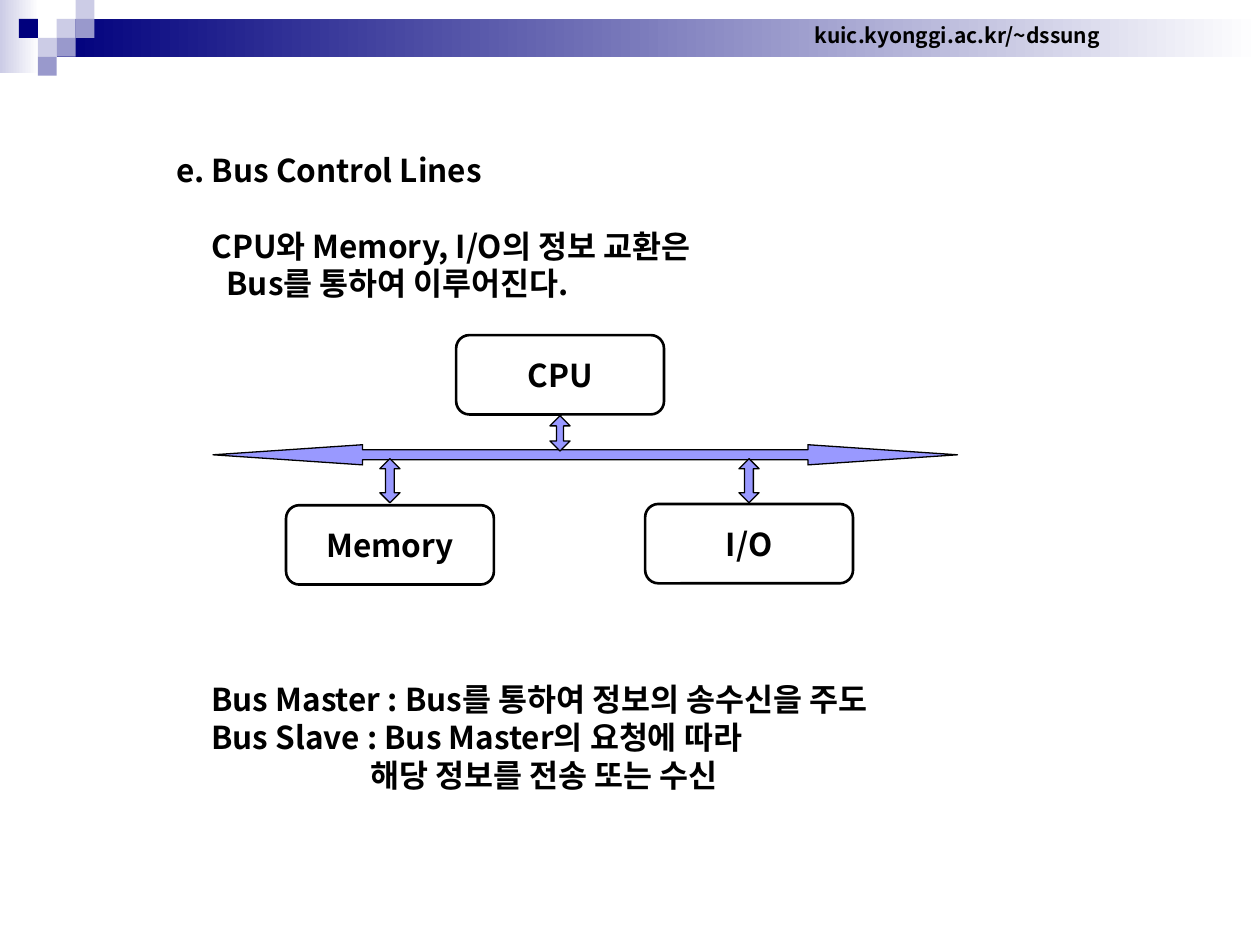
from dataclasses import dataclass

from lxml.etree import SubElement
from pptx import Presentation
from pptx.dml.color import RGBColor
from pptx.enum.shapes import MSO_SHAPE
from pptx.enum.text import MSO_ANCHOR, PP_ALIGN
from pptx.oxml.ns import qn
from pptx.util import Inches, Pt


@dataclass(frozen=True)
class Theme:
    """Colours, font and sizes of the deck."""
    navy: str = "00007D"
    mid: str = "9999CC"
    pale: str = "CCCCE6"
    bus: str = "9999FF"
    ink: str = "000000"
    paper: str = "FFFFFF"
    font: str = "Noto Sans CJK KR"
    body: int = 18
    small: int = 12
    leading: float = 21.6


T = Theme()


def add_text(tf, text, size=T.body, first=False, align=PP_ALIGN.LEFT,
             indent=0, before=0, leading=None):
    """Write one bold paragraph into a text frame."""
    p = tf.paragraphs[0] if first else tf.add_paragraph()
    p.alignment = align
    p.space_before = Pt(before)
    if leading:
        p.line_spacing = Pt(leading)
    if indent:
        pPr = p._p.get_or_add_pPr()
        pPr.set("marL", str(Inches(indent)))
        pPr.set("indent", "0")
    r = p.add_run()
    r.text = text
    r.font.size = Pt(size)
    r.font.bold = True
    r.font.name = T.font
    r.font.color.rgb = RGBColor.from_string(T.ink)
    SubElement(r._r.get_or_add_rPr(), qn("a:ea")).set("typeface", T.font)


def add_box(s, kind, box, fill, line=None, adj=()):
    """Add a preset shape; a pair of colours gives a left-to-right gradient."""
    sp = s.shapes.add_shape(kind, *map(Inches, box))
    sp.shadow.inherit = False
    if isinstance(fill, tuple):
        sp.fill.gradient()
        sp.fill.gradient_angle = 0
        for stop, colour in zip(sp.fill.gradient_stops, fill):
            stop.color.rgb = RGBColor.from_string(colour)
    else:
        sp.fill.solid()
        sp.fill.fore_color.rgb = RGBColor.from_string(fill)
    if line:
        sp.line.color.rgb = RGBColor.from_string(T.ink)
        sp.line.width = Pt(line)
    else:
        sp.line.fill.background()
    for i, value in enumerate(adj):
        sp.adjustments[i] = value
    return sp


def add_header(s, x, y, w):
    """Draw the gradient band, its mosaic of squares and the web address."""
    unit = 0.15
    add_box(s, MSO_SHAPE.RECTANGLE, (x, y, 0.31, 0.58), (T.pale, T.paper))
    add_box(s, MSO_SHAPE.RECTANGLE, (x + 3 * unit, y + unit, w - 3 * unit, 2 * unit),
            (T.navy, T.paper))
    squares = [(3, 1, T.pale), (4, 0, T.pale), (4, 1, T.mid), (2, 2, T.pale),
               (1, 1, T.navy), (3, 2, T.mid), (2, 3, T.mid)]
    for col, row, colour in squares:
        add_box(s, MSO_SHAPE.RECTANGLE,
                (x + col * unit, y + row * unit, unit, unit), colour)
    tb = s.shapes.add_textbox(*map(Inches, (x + 6.37, y + 0.13, 2.47, 0.3)))
    tb.text_frame.vertical_anchor = MSO_ANCHOR.MIDDLE
    tb.text_frame.word_wrap = False
    add_text(tb.text_frame, "kuic.kyonggi.ac.kr/~dssung", size=T.small, first=True)


def add_notes(s, box, lines):
    """Place a block of lines given as (text, indent, space before)."""
    tf = s.shapes.add_textbox(*map(Inches, box)).text_frame
    tf.word_wrap = True
    for i, (text, indent, before) in enumerate(lines):
        add_text(tf, text, first=i == 0, indent=indent, before=before,
                 leading=T.leading)


def add_bus_diagram(s, x, y):
    """Draw the three units and the bus that joins them."""
    w, h, arrow = 1.65, 0.63, 0.16
    units = [("CPU", 1.93, 0, 0.64, 0.28), ("Memory", 0.58, 1.35, 0.98, 0.35),
             ("I/O", 3.43, 1.34, 0.98, 0.35)]
    for name, dx, dy, _, _ in units:
        sp = add_box(s, MSO_SHAPE.ROUNDED_RECTANGLE, (x + dx, y + dy, w, h),
                     T.paper, 1.5, [0.167])
        sp.text_frame.vertical_anchor = MSO_ANCHOR.MIDDLE
        sp.text_frame.word_wrap = False
        add_text(sp.text_frame, name, first=True, align=PP_ALIGN.CENTER)
    add_box(s, MSO_SHAPE.LEFT_RIGHT_ARROW, (x, y + 0.87, 5.91, arrow),
            T.bus, 0.75, [0.5, 7.43])
    for _, dx, _, top, length in units:
        add_box(s, MSO_SHAPE.UP_DOWN_ARROW,
                (x + dx + (w - arrow) / 2, y + top, arrow, length),
                T.bus, 0.75, [0.5, 0.2 * length / arrow])


def main():
    """Build the slide and save it."""
    prs = Presentation()
    prs.slide_width, prs.slide_height = Inches(10), Inches(7.5)
    s = prs.slides.add_slide(prs.slide_layouts[6])
    add_header(s, 0, 0, 10)
    add_notes(s, (1.3, 1.15, 7.17, 1.3), [
        ("e. Bus Control Lines", 0, 0),
        ("CPU와 Memory, I/O의 정보 교환은", 0.28, T.leading),
        ("Bus를 통하여 이루어진다.", 0.4, 0)])
    add_notes(s, (1.3, 5.35, 7.17, 1), [
        ("Bus Master : Bus를 통하여 정보의 송수신을 주도", 0.28, 0),
        ("Bus Slave : Bus Master의 요청에 따라", 0.28, 0),
        ("해당 정보를 전송 또는 수신", 1.54, 0)])
    add_bus_diagram(s, 1.69, 2.66)
    prs.save("out.pptx")


if __name__ == "__main__":
    main()
